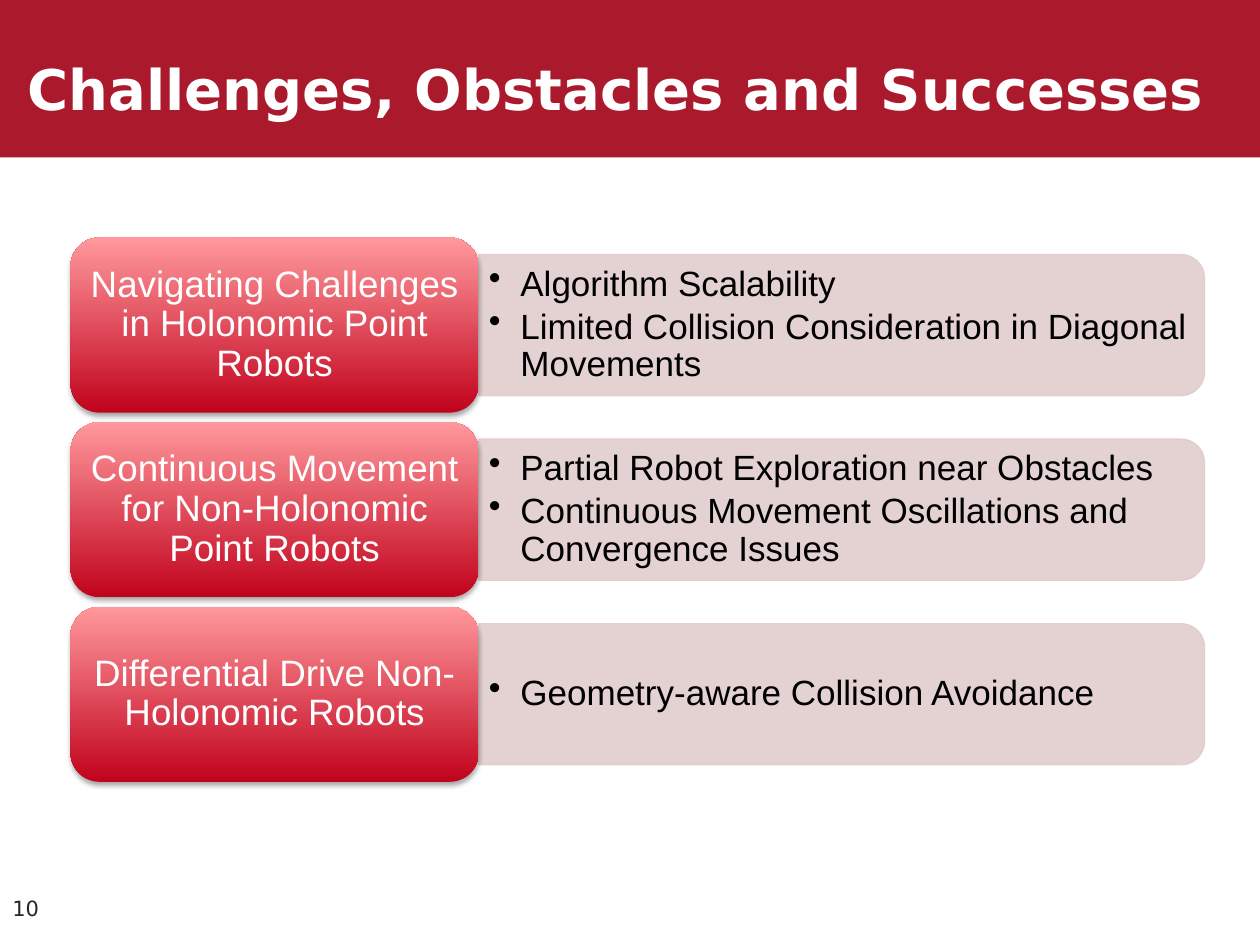
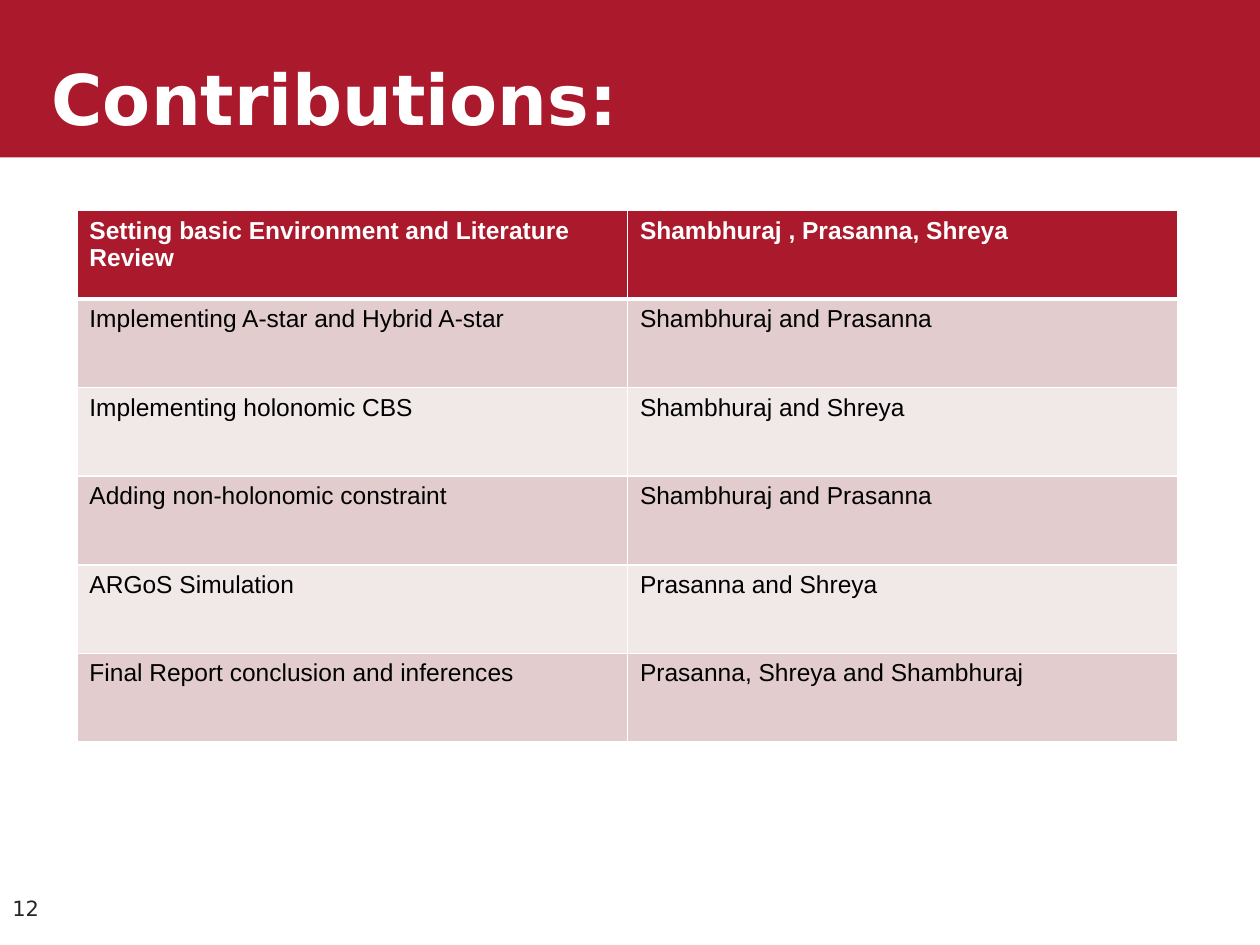
from lxml.etree import SubElement
from pptx import Presentation
from pptx.dml.color import RGBColor
from pptx.enum.shapes import MSO_SHAPE as Shape
from pptx.enum.text import MSO_ANCHOR as Anchor, MSO_AUTO_SIZE as AutoSize, PP_ALIGN as Align
from pptx.oxml import parse_xml
from pptx.oxml.ns import nsdecls, qn
from pptx.util import Inches, Pt

CHALLENGES = [
    ("Navigating Challenges in Holonomic Point Robots",
     ["Algorithm Scalability", "Limited Collision Consideration in Diagonal Movements"]),
    ("Continuous Movement for Non-Holonomic Point Robots",
     ["Partial Robot Exploration near Obstacles",
      "Continuous Movement Oscillations and Convergence Issues"]),
    ("Differential Drive Non-Holonomic Robots",
     ["Geometry-aware Collision Avoidance"]),
]
CONTRIBUTIONS = [
    ("Setting basic Environment and Literature Review", "Shambhuraj , Prasanna, Shreya"),
    ("Implementing A-star and Hybrid A-star", "Shambhuraj and Prasanna"),
    ("Implementing holonomic CBS", "Shambhuraj and Shreya"),
    ("Adding non-holonomic constraint", "Shambhuraj and Prasanna"),
    ("ARGoS Simulation", "Prasanna and Shreya"),
    ("Final Report conclusion and inferences", "Prasanna, Shreya and Shambhuraj"),
]


def rgb(value):
    return RGBColor.from_string(value)


def box(left, top, width, height):
    return Inches(left), Inches(top), Inches(width), Inches(height)


def set_alpha(shape, percent):
    """Make every plain colour of the fill and line partly transparent."""
    for color in shape._element.spPr.iter(qn("a:srgbClr")):
        SubElement(color, qn("a:alpha"), val=str(percent * 1000))


class Deck:
    RED, PINK, PALE = "AB192D", "E2CCCD", "F1E8E8"
    WHITE, BLACK, GREY = "FFFFFF", "000000", "262626"
    CARD_DARK, CARD_LIGHT = "C1031D", "FF989C"
    HEADING_FONT, BODY_FONT = "DejaVu Sans", "Arial"

    def __init__(self):
        self.prs = Presentation()
        self.prs.slide_width, self.prs.slide_height = Inches(10), Inches(7.5)
        self.slide = None

    def start_slide(self, title, title_box, title_size, anchor, number):
        self.slide = self.prs.slides.add_slide(self.prs.slide_layouts[5])
        banner = self.shape(Shape.RECTANGLE, box(0, 0, 10, 1.25), self.RED)
        self.slide.shapes._spTree.insert(2, banner._element)

        heading = self.slide.shapes.title
        heading.left, heading.top, heading.width, heading.height = title_box
        heading.text_frame.auto_size = AutoSize.NONE
        heading.text_frame.vertical_anchor = anchor
        self.put_text(heading.text_frame, title, title_size, self.WHITE,
                      self.HEADING_FONT, bold=True)

        page = self.text_box(box(0, 6.99, 0.5, 0.43))
        self.put_text(page, number, 12, self.GREY, self.HEADING_FONT)

    def put_text(self, frame, text, size, color, font=BODY_FONT, bold=False, align=Align.LEFT):
        paragraph = frame.paragraphs[0]
        paragraph.text = text
        self.style_text(paragraph, size, color, font, bold, align)
        return paragraph

    def style_text(self, paragraph, size, color, font=BODY_FONT, bold=False, align=Align.LEFT):
        paragraph.alignment = align
        paragraph.font.name, paragraph.font.size = font, Pt(size)
        paragraph.font.bold = bold
        paragraph.font.color.rgb = rgb(color)

    def text_box(self, place):
        frame = self.slide.shapes.add_textbox(*place).text_frame
        frame.word_wrap = True
        frame.vertical_anchor = Anchor.MIDDLE
        return frame

    def shape(self, kind, place, fill):
        shape = self.slide.shapes.add_shape(kind, *place)
        shape.shadow.inherit = False
        shape.fill.solid()
        shape.fill.fore_color.rgb = rgb(fill)
        shape.line.fill.background()
        return shape

    def card(self, place, text):
        card = self.shape(Shape.ROUNDED_RECTANGLE, place, self.CARD_DARK)
        card.fill.gradient()
        card.fill.gradient_angle = 90
        for stop, color in zip(card.fill.gradient_stops, (self.CARD_DARK, self.CARD_LIGHT)):
            stop.color.rgb = rgb(color)
        card._element.spPr.find(qn("a:effectLst")).append(parse_xml(
            f'<a:outerShdw {nsdecls("a")} blurRad="{Pt(3.1)}" dist="{Pt(1.8)}" dir="5400000" '
            'rotWithShape="0"><a:srgbClr val="000000"><a:alpha val="35000"/></a:srgbClr>'
            '</a:outerShdw>'))
        frame = card.text_frame
        frame.word_wrap = True
        frame.vertical_anchor = Anchor.MIDDLE
        frame.margin_left = frame.margin_right = Inches(0.09)
        frame.margin_top = frame.margin_bottom = Inches(0.04)
        self.put_text(frame, text, 21, self.WHITE, align=Align.CENTER).line_spacing = 0.9

    def side_panel(self, left, middle, width, height):
        """Panel rounded on its right: the preset is turned a quarter about its centre."""
        place = box(left + (width - height) / 2, middle - width / 2, height, width)
        panel = self.shape(Shape.ROUND_2_SAME_RECTANGLE, place, self.PINK)
        panel.rotation = 90
        panel.line.color.rgb = rgb(self.PINK)
        panel.line.width = Pt(0.75)
        set_alpha(panel, 90)

    def bullets(self, place, items):
        frame = self.text_box(place)
        frame.margin_left = frame.margin_right = Inches(0.08)
        frame.margin_top = frame.margin_bottom = Inches(0.04)
        for index, item in enumerate(items):
            paragraph = frame.paragraphs[0] if index == 0 else frame.add_paragraph()
            paragraph.text = item
            paragraph.line_spacing, paragraph.space_after = 0.9, Pt(3)
            props = paragraph._p.get_or_add_pPr()
            props.set("marL", str(Inches(0.25)))
            props.set("indent", str(-Inches(0.25)))
            SubElement(SubElement(props, qn("a:buClr")), qn("a:srgbClr"), val=self.BLACK)
            SubElement(props, qn("a:buChar"), char="•")
            self.style_text(paragraph, 20, self.BLACK)

    def borders(self, cell, top, bottom):
        sides = {"L": 1, "R": 1, "T": top, "B": bottom}
        for index, (side, width) in enumerate(sides.items()):
            cell._tc.get_or_add_tcPr().insert(index, parse_xml(
                f'<a:ln{side} {nsdecls("a")} w="{Pt(width)}"><a:solidFill>'
                f'<a:srgbClr val="{self.WHITE}"/></a:solidFill></a:ln{side}>'))

    def table(self, place, rows):
        table = self.slide.shapes.add_table(len(rows), len(rows[0]), *place).table
        for r, row in enumerate(rows):
            header = r == 0
            fill = self.RED if header else self.PINK if r % 2 else self.PALE
            for c, text in enumerate(row):
                cell = table.cell(r, c)
                cell.fill.solid()
                cell.fill.fore_color.rgb = rgb(fill)
                self.borders(cell, top=3 if r == 1 else 1, bottom=3 if header else 1)
                self.put_text(cell.text_frame, text, 14,
                              self.WHITE if header else self.BLACK, bold=header)


def challenges_slide(deck):
    deck.start_slide("Challenges, Obstacles and Successes", box(0.12, 0.38, 9.75, 0.88),
                     32, Anchor.TOP, "10")
    left, label_width, label_height = 0.56, 3.24, 1.39
    panel_left = left + label_width
    for index, (label, points) in enumerate(CHALLENGES):
        middle = 2.58 + index * 1.465
        deck.side_panel(panel_left, middle, 5.76, 1.12)
        deck.bullets(box(panel_left, middle - 1.01 / 2, 5.71, 1.01), points)
        deck.card(box(left, middle - label_height / 2, label_width, label_height), label)


def contributions_slide(deck):
    deck.start_slide("Contributions:", box(0.31, -0.67, 7.5, 1.83), 40, Anchor.BOTTOM, "12")
    deck.table(box(0.61, 1.67, 8.74, 4.22), CONTRIBUTIONS)


def main():
    deck = Deck()
    challenges_slide(deck)
    contributions_slide(deck)
    deck.prs.save("out.pptx")


if __name__ == "__main__":
    main()
